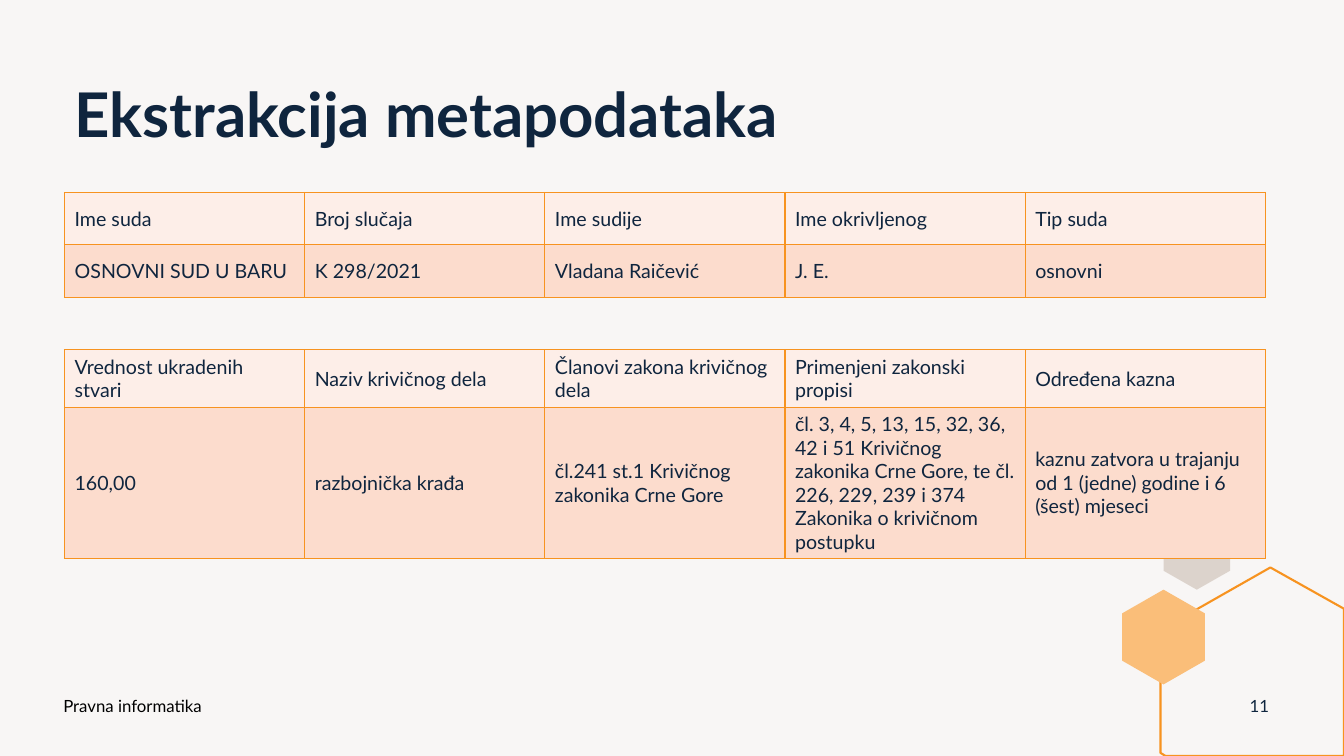
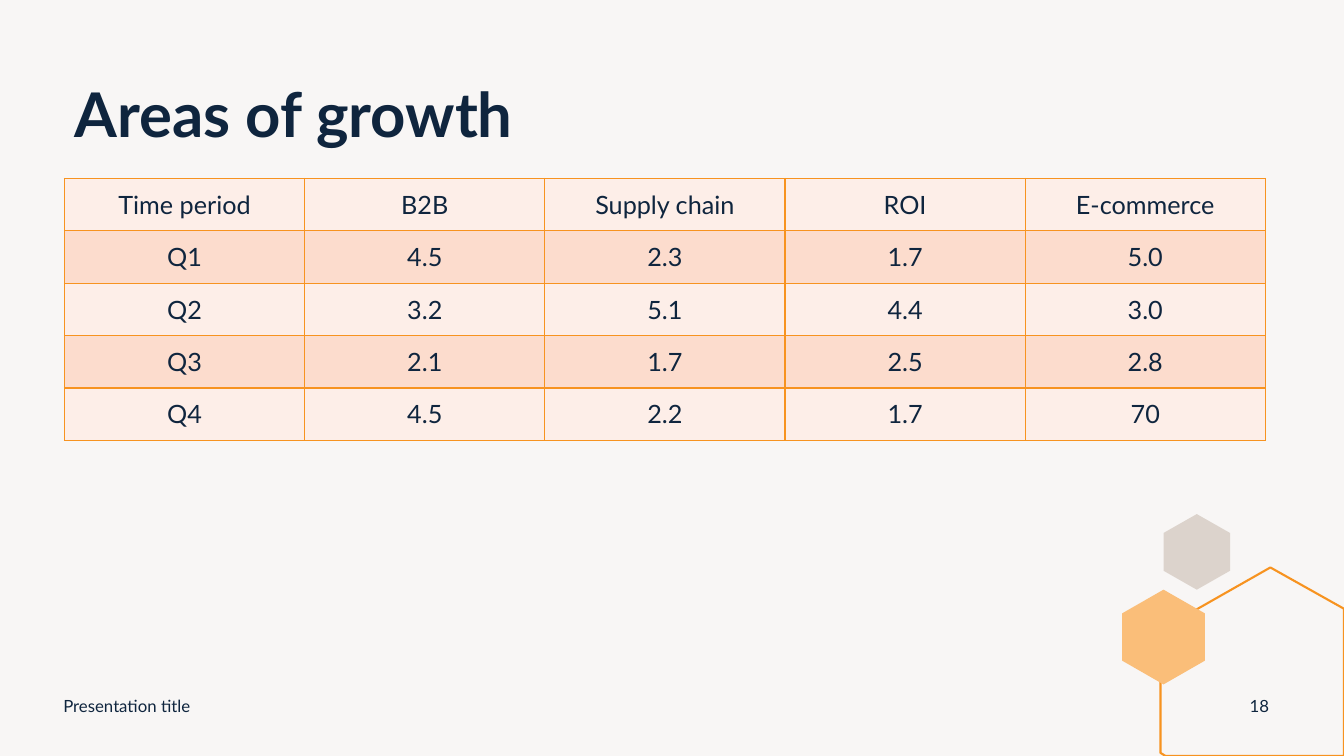
from dataclasses import dataclass

from lxml import etree
from pptx import Presentation
from pptx.dml.color import RGBColor
from pptx.enum.text import MSO_ANCHOR, PP_ALIGN
from pptx.oxml.ns import qn
from pptx.slide import Slide
from pptx.table import _Cell
from pptx.text.text import TextFrame
from pptx.util import Inches, Pt

LEFT, CENTER = PP_ALIGN.LEFT, PP_ALIGN.CENTER
TOP, MIDDLE = MSO_ANCHOR.TOP, MSO_ANCHOR.MIDDLE
FONT = "Lato"
BACKGROUND, NAVY, BLACK = "F8F6F5", "0F253E", "000000"
ORANGE, LIGHT_ORANGE, GREY = "F79320", "FABE79", "DCD3CC"
ROW_FILLS = ("FDEEE8", "FCDCCD")
CONTENT_LEFT, CONTENT_WIDTH = 0.64, 11.91
ROW_HEIGHT = 0.52


@dataclass
class TableSpec:
    top: float
    heights: list[float]
    rows: list[list[str]]
    size: int = 14
    align: PP_ALIGN = LEFT
    space_after: int = 6


@dataclass
class SlideSpec:
    title: str
    footer: str
    number: str
    tables: list[TableSpec]
    footer_color: str = NAVY


@dataclass
class Outline:
    points: list[tuple[float, float]]
    fill: str | None = None
    line: str | None = None


def hexagon(left: float, top: float, width: float, height: float) -> list[tuple[float, float]]:
    center, right, bottom = left + width / 2, left + width, top + height
    upper, lower = top + height / 4, bottom - height / 4
    return [(center, top), (right, upper), (right, lower),
            (center, bottom), (left, lower), (left, upper)]


OUTLINES = [
    Outline(hexagon(11.54, 5.1, 0.66, 0.75), fill=GREY),
    Outline([(12.6, 5.63), (13.33, 6.04), (13.33, 7.5), (11.56, 7.5),
             (11.51, 7.47), (11.51, 6.25)], line=ORANGE),
    Outline(hexagon(11.13, 5.85, 0.82, 0.94), fill=LIGHT_ORANGE),
]

SLIDES = [
    SlideSpec("Ekstrakcija metapodataka", "Pravna informatika", "11", [
        TableSpec(1.91, [ROW_HEIGHT] * 2, [
            ["Ime suda", "Broj slučaja", "Ime sudije", "Ime okrivljenog", "Tip suda"],
            ["OSNOVNI SUD U BARU", "K 298/2021", "Vladana Raičević", "J. E.", "osnovni"],
        ]),
        TableSpec(3.47, [0.57, 1.5], [
            ["Vrednost ukradenih stvari", "Naziv krivičnog dela",
             "Članovi zakona krivičnog dela", "Primenjeni zakonski propisi",
             "Određena kazna"],
            ["160,00", "razbojnička krađa", "čl.241 st.1 Krivičnog zakonika Crne Gore",
             "čl. 3, 4, 5, 13, 15, 32, 36, 42 i 51 Krivičnog zakonika Crne Gore, "
             "te čl. 226, 229, 239 i 374 Zakonika o krivičnom postupku",
             "kaznu zatvora u trajanju od 1 (jedne) godine i 6 (šest) mjeseci"],
        ]),
    ], footer_color=BLACK),
    SlideSpec("Areas of growth", "Presentation title", "18", [
        TableSpec(1.77, [ROW_HEIGHT] * 5, [
            ["Time period", "B2B", "Supply chain", "ROI", "E-commerce"],
            ["Q1", "4.5", "2.3", "1.7", "5.0"],
            ["Q2", "3.2", "5.1", "4.4", "3.0"],
            ["Q3", "2.1", "1.7", "2.5", "2.8"],
            ["Q4", "4.5", "2.2", "1.7", "70"],
        ], size=18, align=CENTER, space_after=0),
    ]),
]


def color(value: str) -> RGBColor:
    return RGBColor.from_string(value)


def write(frame: TextFrame, text: str, *, size: int, fill: str = NAVY, bold: bool = False,
          align: PP_ALIGN = LEFT, spacing: float = 1.0, space_after: int = 0) -> None:
    """Fill a text frame with one formatted paragraph."""
    frame.word_wrap = True
    paragraph = frame.paragraphs[0]
    paragraph.alignment = align
    paragraph.line_spacing = spacing
    paragraph.space_after = Pt(space_after)
    run = paragraph.add_run()
    run.text = text
    run.font.name = FONT
    run.font.size = Pt(size)
    run.font.bold = bold
    run.font.color.rgb = color(fill)


def add_text(slide: Slide, text: str, left: float, top: float, width: float, height: float,
             anchor: MSO_ANCHOR = MIDDLE, **text_format) -> None:
    box = slide.shapes.add_textbox(Inches(left), Inches(top), Inches(width), Inches(height))
    box.text_frame.vertical_anchor = anchor
    write(box.text_frame, text, **text_format)


def add_outline(slide: Slide, outline: Outline) -> None:
    start, *others = [(Inches(x), Inches(y)) for x, y in outline.points]
    builder = slide.shapes.build_freeform(*start)
    builder.add_line_segments(others, close=True)
    shape = builder.convert_to_shape()
    shape.shadow.inherit = False
    if outline.fill:
        shape.fill.solid()
        shape.fill.fore_color.rgb = color(outline.fill)
    else:
        shape.fill.background()
    if outline.line:
        shape.line.color.rgb = color(outline.line)
        shape.line.width = Pt(1.5)
    else:
        shape.line.fill.background()


def format_cell(cell: _Cell, fill: str) -> None:
    properties = cell._tc.get_or_add_tcPr()
    for side in ("a:lnL", "a:lnR", "a:lnT", "a:lnB"):
        border = etree.SubElement(properties, qn(side), w=str(Pt(1)))
        solid = etree.SubElement(border, qn("a:solidFill"))
        etree.SubElement(solid, qn("a:srgbClr"), val=ORANGE)
    cell.fill.solid()
    cell.fill.fore_color.rgb = color(fill)
    cell.vertical_anchor = MIDDLE


def add_data_table(slide: Slide, spec: TableSpec) -> None:
    column_count = len(spec.rows[0])
    table = slide.shapes.add_table(
        len(spec.rows), column_count, Inches(CONTENT_LEFT), Inches(spec.top),
        Inches(CONTENT_WIDTH), Inches(sum(spec.heights))).table
    table.first_row = table.horz_banding = False
    for column in table.columns:
        column.width = Inches(CONTENT_WIDTH / column_count)
    for row_index, (texts, height) in enumerate(zip(spec.rows, spec.heights)):
        table.rows[row_index].height = Inches(height)
        for column_index, text in enumerate(texts):
            cell = table.cell(row_index, column_index)
            format_cell(cell, ROW_FILLS[row_index % 2])
            write(cell.text_frame, text, size=spec.size, align=spec.align,
                  space_after=spec.space_after)


def add_slide(presentation: Presentation, spec: SlideSpec) -> None:
    slide = presentation.slides.add_slide(presentation.slide_layouts[6])
    slide.background.fill.solid()
    slide.background.fill.fore_color.rgb = color(BACKGROUND)
    for outline in OUTLINES:
        add_outline(slide, outline)
    add_text(slide, spec.title, CONTENT_LEFT, 0.79, CONTENT_WIDTH, 1.55, TOP,
             size=44, bold=True, spacing=0.9)
    for table in spec.tables:
        add_data_table(slide, table)
    add_text(slide, spec.footer, 0.53, 6.8, 4.5, 0.4, size=12, fill=spec.footer_color)
    add_text(slide, spec.number, 12.24, 6.8, 0.5, 0.4, size=12, align=CENTER)


def main() -> None:
    presentation = Presentation()
    presentation.slide_width = Inches(13.33)
    presentation.slide_height = Inches(7.5)
    for spec in SLIDES:
        add_slide(presentation, spec)
    presentation.save("out.pptx")


if __name__ == "__main__":
    main()
